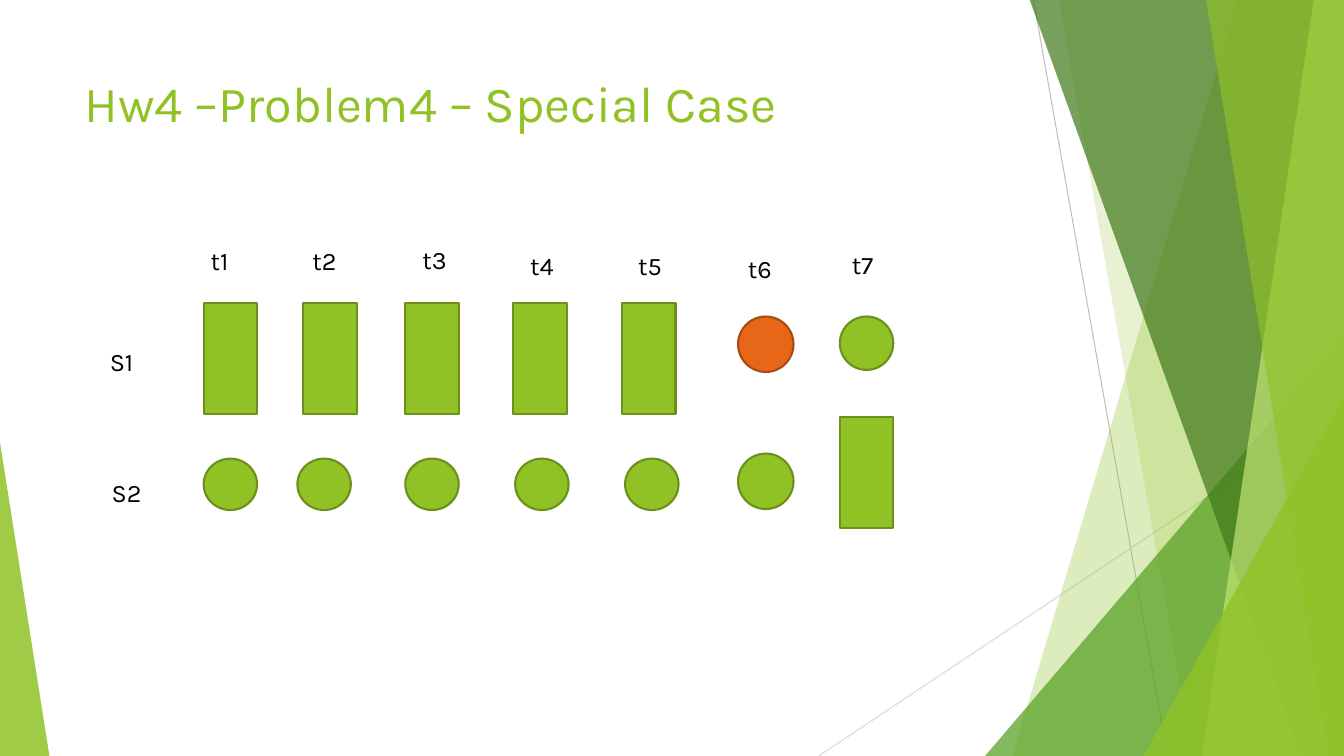
import pptx
import pptx.dml.color
import pptx.enum.shapes
import pptx.enum.text
import pptx.oxml
import pptx.oxml.ns
import pptx.util
import lxml.etree

EMU_PER_PX = 9144  # 100 px to the inch
WIDTH, HEIGHT = 1333, 750
FONT = "Karla"
COLORS = {
    "lime": "90C226", "lime_edge": "6B901C", "orange": "E76618", "orange_edge": "AB4B12",
    "green": "54A021", "forest": "3F7819", "pale": "C0E474",
    "gray": "BFBFBF", "light_gray": "D9D9D9", "black": "000000",
}
SHAPES = pptx.enum.shapes.MSO_SHAPE


def emu(px):
    return pptx.util.Emu(px * EMU_PER_PX)


def color(name):
    return pptx.dml.color.RGBColor.from_string(COLORS[name])


class SlideBuilder:
    def __init__(self, slide):
        self.slide = slide

    def text(self, left, top, width, height, wording, size, color_name):
        box = self.slide.shapes.add_textbox(emu(left), emu(top), emu(width), emu(height))
        frame = box.text_frame
        frame.word_wrap = True
        frame.vertical_anchor = pptx.enum.text.MSO_ANCHOR.TOP
        frame.text = wording
        font = frame.paragraphs[0].runs[0].font
        font.name = FONT
        font.size = pptx.util.Pt(size)
        font.color.rgb = color(color_name)

    def outlined(self, kind, left, top, width, height, fill="lime"):
        shape = self.slide.shapes.add_shape(kind, emu(left), emu(top), emu(width), emu(height))
        shape.shadow.inherit = False
        shape.fill.solid()
        shape.fill.fore_color.rgb = color(fill)
        shape.line.color.rgb = color(fill + "_edge")
        shape.line.width = pptx.util.Pt(1.5)

    def line(self, start, end, color_name):
        connector = self.slide.shapes.add_connector(
            pptx.enum.shapes.MSO_CONNECTOR.STRAIGHT, *map(emu, start + end))
        connector.line.color.rgb = color(color_name)
        connector.line.width = pptx.util.Pt(0.75)
        lxml.etree.SubElement(connector._element.spPr, pptx.oxml.ns.qn("a:effectLst"))

    def translucent(self, shape, fill, opacity):
        """Fill a borderless shape at an opacity in percent."""
        shape.shadow.inherit = False
        shape.fill.solid()
        shape.fill.fore_color.rgb = color(fill)
        shape.line.fill.background()
        fill_color = shape._element.spPr.find(".//" + pptx.oxml.ns.qn("a:srgbClr"))
        alpha = lxml.etree.SubElement(fill_color, pptx.oxml.ns.qn("a:alpha"))
        alpha.set("val", str(opacity * 1000))

    def band(self, top_left, bottom_left, fill, opacity):
        """Draw a full-height panel from a slanted left side to the slide's right edge."""
        builder = self.slide.shapes.build_freeform(emu(top_left), emu(-1))
        corners = [(WIDTH, -1), (WIDTH, HEIGHT), (bottom_left, HEIGHT)]
        builder.add_line_segments([(emu(x), emu(y)) for x, y in corners], close=True)
        self.translucent(builder.convert_to_shape(), fill, opacity)

    def triangle(self, left, width, height, apex, fill, opacity):
        """Draw a triangle standing on the slide's bottom edge."""
        shape = self.slide.shapes.add_shape(
            SHAPES.ISOSCELES_TRIANGLE, emu(left), emu(HEIGHT - height), emu(width), emu(height))
        shape.adjustments[0] = apex
        self.translucent(shape, fill, opacity)


def draw_backdrop(builder):
    builder.line((1025, 0), (1158, HEIGHT), "gray")
    builder.line((WIDTH, 403), (812, HEIGHT), "light_gray")
    builder.band(1228, 1004, "lime", 30)
    builder.band(1050, 1183, "lime", 20)
    builder.triangle(977, 356, 417, 1, "green", 72)
    builder.band(1021, 1291, "forest", 70)
    builder.band(1303, 1192, "pale", 70)
    builder.band(1196, 1318, "lime", 65)
    builder.triangle(1134, 199, 357, 1, "lime", 80)
    builder.triangle(0, 49, 311, 0, "lime", 85)


def draw_schedule(builder):
    for left in (202, 301, 402, 509, 617):
        builder.outlined(SHAPES.RECTANGLE, left, 301, 53, 110)
    builder.outlined(SHAPES.RECTANGLE, 833, 414, 53, 110)

    for left in (202, 295, 402, 511, 620):
        builder.outlined(SHAPES.OVAL, left, 455, 53, 51)
    builder.outlined(SHAPES.OVAL, 732, 450, 55, 55)
    builder.outlined(SHAPES.OVAL, 833, 314, 53, 53)
    builder.outlined(SHAPES.OVAL, 732, 314, 55, 55, "orange")

    time_labels = [(199, 238), (300, 238), (409, 237), (516, 243),
                   (623, 243), (732, 246), (835, 242)]
    labels = [(f"t{number}", *place) for number, place in enumerate(time_labels, 1)]
    labels += [("S1", 99, 339), ("S2", 101, 469)]
    for wording, left, top in labels:
        builder.text(left, top, 81, 40, wording, 18, "black")


def main():
    presentation = pptx.Presentation()
    presentation.slide_width, presentation.slide_height = emu(WIDTH), emu(HEIGHT)
    builder = SlideBuilder(presentation.slides.add_slide(presentation.slide_layouts[6]))
    draw_backdrop(builder)
    builder.text(74, 67, 940, 144, "Hw4 –Problem4 – Special Case", 36, "lime")
    draw_schedule(builder)
    presentation.save("out.pptx")


if __name__ == "__main__":
    main()
